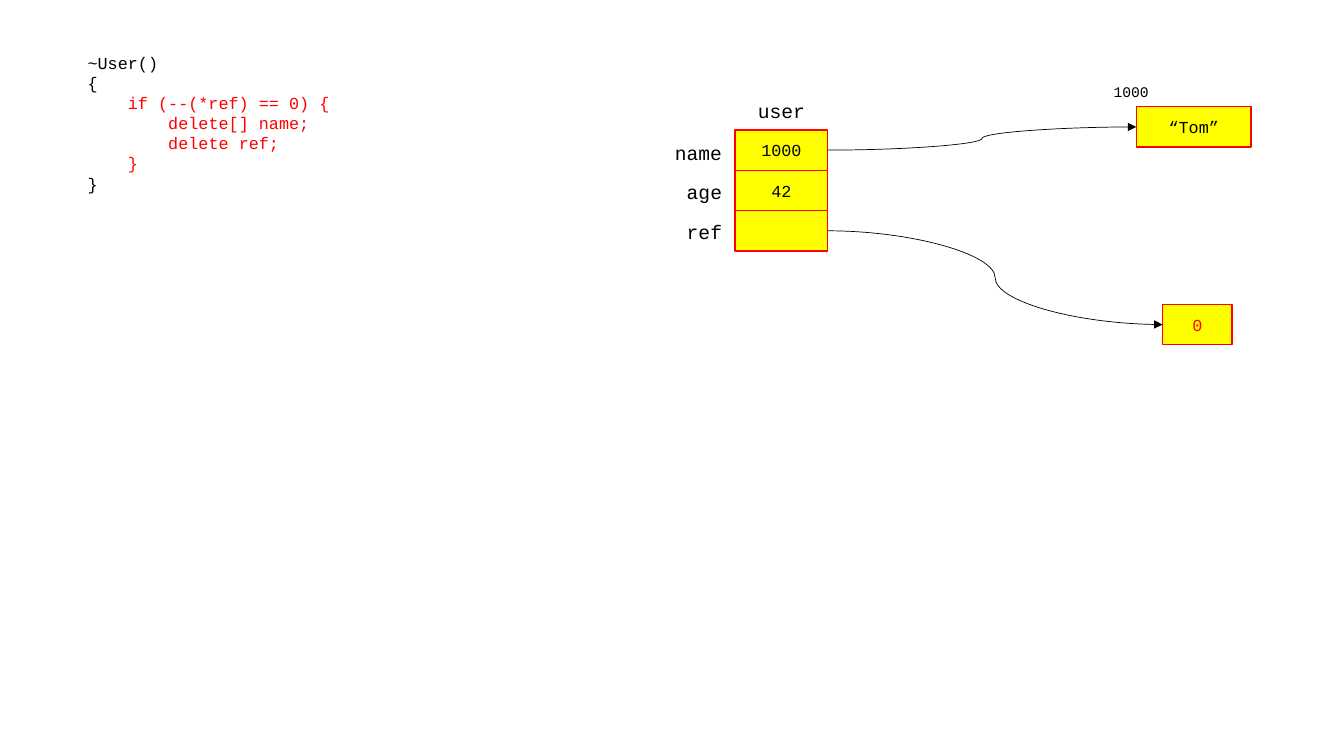
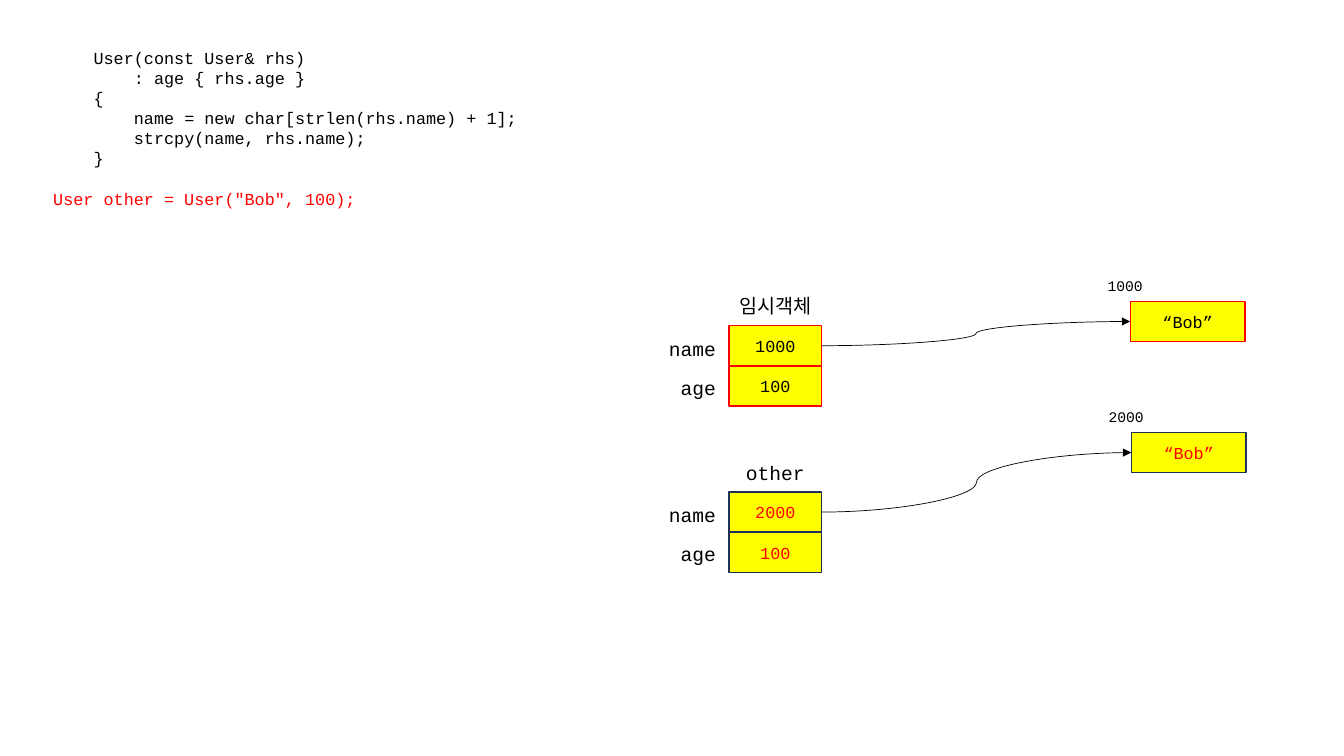
from dataclasses import dataclass
from typing import Any

from pptx import Presentation, util as u
from pptx.dml.color import RGBColor
from pptx.enum import shapes, text
from pptx.oxml import ns, xmlchemy

# Shared look
BLACK = RGBColor(0x00, 0x00, 0x00)
RED = RGBColor(0xFF, 0x00, 0x00)
YELLOW = RGBColor(0xFF, 0xFF, 0x00)
NAVY = RGBColor(0x1E, 0x32, 0x56)
FONT = "Courier New"
CODE_SIZE, NAME_SIZE, ADDRESS_SIZE = 12, 14, 10.5
CODE_LEADING = u.Pt(14.4)
TAB = 0.4

# Shared memory diagram measures, in inches
CELL_W, CELL_H = 0.92, 0.4
LABEL_W, LABEL_H, LABEL_SHIFT = 0.82, 0.34, 0.85
LABEL_DROP, LABEL_STEP = 0.06, 0.39
OWNER_W, OWNER_RISE = 1.08, 0.36
ADDRESS_W, ADDRESS_H = 0.8, 0.29
ADDRESS_SHIFT, ADDRESS_RISE = 0.45, 0.29
RIGHT_SITE, LEFT_SITE = 3, 1


@dataclass(frozen=True)
class CodeLine:
    text: str
    depth: int = 0
    color: RGBColor = BLACK
    after_gap: bool = False


@dataclass(frozen=True)
class Code:
    left: float
    top: float
    width: float
    height: float
    lines: tuple[CodeLine, ...]


@dataclass(frozen=True)
class Heap:
    """A block on the heap that a field points to."""
    left: float
    top: float
    value: str
    address: str = ""
    width: float = 1.14
    ink: RGBColor = BLACK


@dataclass(frozen=True)
class Field:
    name: str
    value: str = ""
    target: Heap | None = None


@dataclass(frozen=True)
class Instance:
    owner: str
    left: float
    top: float
    fields: tuple[Field, ...]
    border: RGBColor = RED
    ink: RGBColor = BLACK


def apply(target: Any, formats: dict[str, Any]) -> None:
    for attribute, value in formats.items():
        setattr(target, attribute, value)


def style_font(font: Any, size: float, color: RGBColor) -> None:
    apply(font, {"name": FONT, "size": u.Pt(size)})
    font.color.rgb = color


def add_label(slide: Any, words: str, left: float, top: float, width: float,
              height: float, size: float, align: Any) -> None:
    frame = slide.shapes.add_textbox(*map(u.Inches, (left, top, width, height))).text_frame
    apply(frame, {"word_wrap": True, "text": words})
    paragraph = frame.paragraphs[0]
    paragraph.alignment = align
    style_font(paragraph.runs[0].font, size, BLACK)


def add_cell(slide: Any, value: str, left: float, top: float, width: float,
             border: RGBColor, ink: RGBColor) -> Any:
    cell = slide.shapes.add_shape(shapes.MSO_SHAPE.RECTANGLE,
                                  *map(u.Inches, (left, top, width, CELL_H)))
    cell.shadow.inherit = False
    cell.fill.solid()
    cell.fill.fore_color.rgb = YELLOW
    cell.line.color.rgb = border
    cell.line.width = u.Pt(1)
    if value:
        apply(cell.text_frame, {"text": value, "vertical_anchor": text.MSO_ANCHOR.MIDDLE})
        paragraph = cell.text_frame.paragraphs[0]
        paragraph.alignment = text.PP_ALIGN.CENTER
        style_font(paragraph.runs[0].font, CODE_SIZE, ink)
    return cell


def add_pointer(slide: Any, source: Any, target: Any) -> None:
    pointer = slide.shapes.add_connector(shapes.MSO_CONNECTOR.CURVE, 0, 0, 0, 0)
    pointer.begin_connect(source, RIGHT_SITE)
    pointer.end_connect(target, LEFT_SITE)
    pointer.line.color.rgb = BLACK
    pointer.line.width = u.Pt(0.5)
    head = xmlchemy.OxmlElement("a:tailEnd")
    head.set("type", "triangle")
    pointer.line._get_or_add_ln().append(head)
    properties = pointer._element.find(ns.qn("p:spPr"))
    properties.append(xmlchemy.OxmlElement("a:effectLst"))


def add_heap(slide: Any, heap: Heap, border: RGBColor) -> Any:
    if heap.address:
        add_label(slide, heap.address, heap.left - ADDRESS_SHIFT, heap.top - ADDRESS_RISE,
                  ADDRESS_W, ADDRESS_H, ADDRESS_SIZE, text.PP_ALIGN.CENTER)
    return add_cell(slide, heap.value, heap.left, heap.top, heap.width, border, heap.ink)


def add_instance(slide: Any, instance: Instance) -> None:
    left, top = instance.left, instance.top
    add_label(slide, instance.owner, left + (CELL_W - OWNER_W) / 2, top - OWNER_RISE,
              OWNER_W, LABEL_H, NAME_SIZE, text.PP_ALIGN.CENTER)
    for row, field in enumerate(instance.fields):
        cell = add_cell(slide, field.value, left, top + row * CELL_H, CELL_W,
                        instance.border, instance.ink)
        add_label(slide, field.name, left - LABEL_SHIFT, top + LABEL_DROP + row * LABEL_STEP,
                  LABEL_W, LABEL_H, NAME_SIZE, text.PP_ALIGN.RIGHT)
        if field.target:
            add_pointer(slide, cell, add_heap(slide, field.target, instance.border))


def add_code(slide: Any, code: Code) -> None:
    box = slide.shapes.add_textbox(
        *map(u.Inches, (code.left, code.top, code.width, code.height)))
    frame = box.text_frame
    frame.word_wrap = True
    for number, line in enumerate(code.lines):
        paragraph = frame.add_paragraph() if number else frame.paragraphs[0]
        apply(paragraph, {"line_spacing": CODE_LEADING,
                          "space_before": CODE_LEADING if line.after_gap else u.Pt(0)})
        paragraph._p.get_or_add_pPr().set("marL", str(u.Inches(line.depth * TAB)))
        run = paragraph.add_run()
        run.text = line.text
        style_font(run.font, CODE_SIZE, line.color)


# Slide 1: destructor with a reference count
destructor = Code(0.37, 0.47, 3.79, 1.51, (
    CodeLine("~User()", 1),
    CodeLine("{", 1),
    CodeLine("if (--(*ref) == 0) {", 2, RED),
    CodeLine("delete[] name;", 3, RED),
    CodeLine("delete ref;", 3, RED),
    CodeLine("}", 2, RED),
    CodeLine("}", 1),
))
user = Instance("user", 7.29, 1.29, (
    Field("name", "1000", Heap(11.27, 1.06, "“Tom”", "1000")),
    Field("age", "42"),
    Field("ref", target=Heap(11.53, 3.02, "0", width=0.69, ink=RED)),
))

# Slide 2: copy constructor and a temporary
copy_constructor = Code(0.43, 0.42, 6.67, 1.72, (
    CodeLine("User(const User& rhs)", 1),
    CodeLine(": age { rhs.age }", 2),
    CodeLine("{", 1),
    CodeLine("name = new char[strlen(rhs.name) + 1];", 2),
    CodeLine("strcpy(name, rhs.name);", 2),
    CodeLine("}", 1),
    CodeLine('User other = User("Bob", 100);', color=RED, after_gap=True),
))
temporary = Instance("임시객체", 7.23, 3.23, (
    Field("name", "1000", Heap(11.21, 2.99, "“Bob”", "1000")),
    Field("age", "100"),
))
other = Instance("other", 7.23, 4.88, (
    Field("name", "2000", Heap(11.22, 4.29, "“Bob”", "2000", ink=RED)),
    Field("age", "100"),
), border=NAVY, ink=RED)

# Build the deck
deck = Presentation()
apply(deck, {"slide_width": u.Inches(13.33), "slide_height": u.Inches(7.5)})
blank_layout = deck.slide_layouts[6]
for listing, instances in ((destructor, (user,)), (copy_constructor, (temporary, other))):
    page = deck.slides.add_slide(blank_layout)
    add_code(page, listing)
    for instance in instances:
        add_instance(page, instance)
deck.save("out.pptx")
